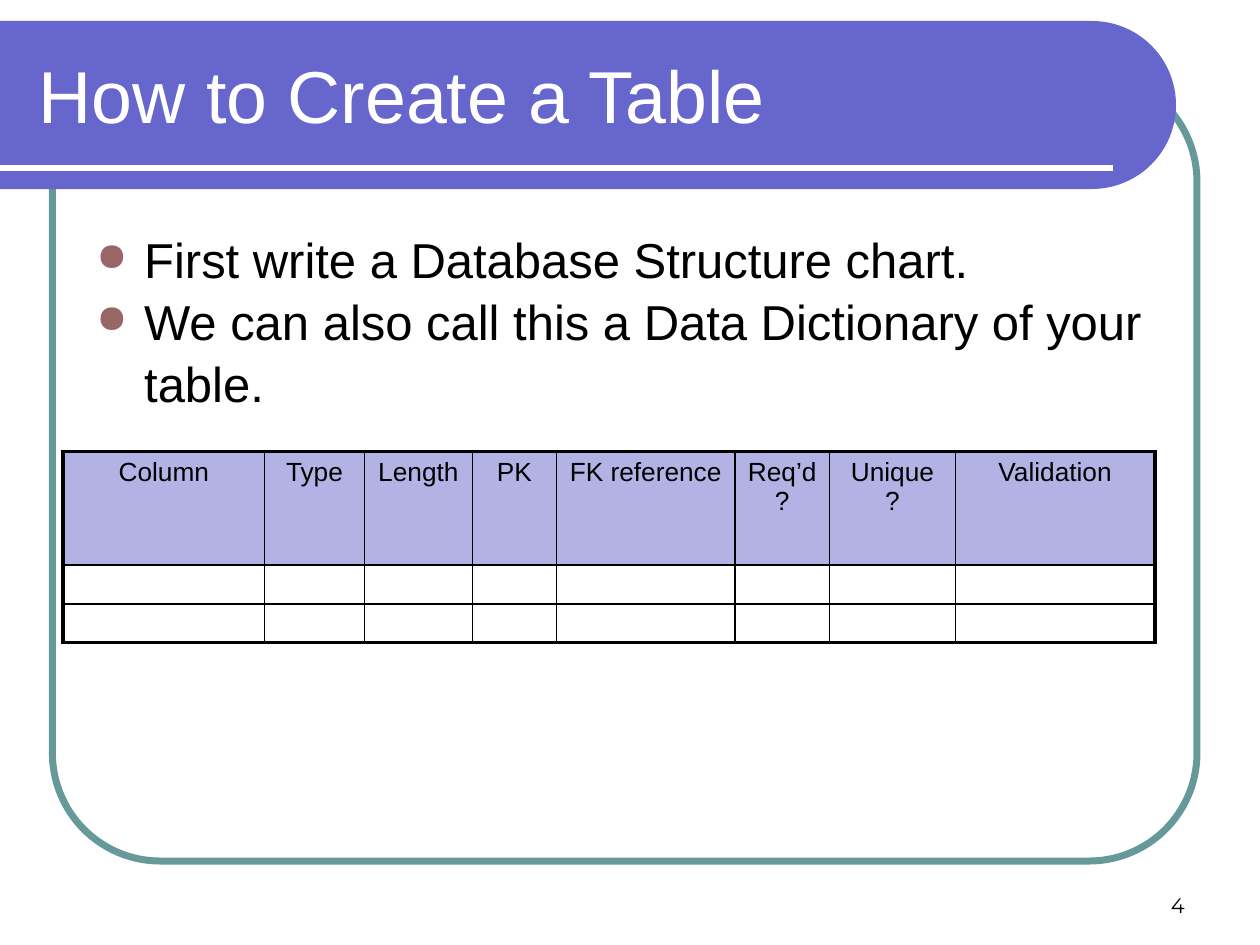
from lxml.etree import SubElement
from pptx import Presentation
from pptx.dml.color import RGBColor
from pptx.enum.shapes import MSO_CONNECTOR as CONNECTOR, MSO_SHAPE as SHAPE
from pptx.enum.text import MSO_ANCHOR as ANCHOR, PP_ALIGN as ALIGN
from pptx.oxml.ns import qn
from pptx.util import Inches, Pt

PURPLE = RGBColor(0x66, 0x66, 0xCC)
TEAL = RGBColor(0x66, 0x99, 0x99)
BULLET = RGBColor(0x99, 0x66, 0x66)
WHITE = RGBColor(0xFF, 0xFF, 0xFF)
BLACK = RGBColor(0, 0, 0)

presentation = Presentation()
presentation.slide_width, presentation.slide_height = Inches(10), Inches(7.5)
slide = presentation.slides.add_slide(presentation.slide_layouts[6])
UNIT = presentation.slide_width // 120  # square grid: 120 columns, 90 rows


def grid(*cells):
    return [round(cell * UNIT) for cell in cells]


def add_text(box, lines, size, color, anchor=ANCHOR.TOP, font="Arial", align=ALIGN.LEFT):
    frame = slide.shapes.add_textbox(*grid(*box)).text_frame
    frame.word_wrap = True
    frame.vertical_anchor = anchor
    frame.text = "\n".join(lines)
    for paragraph in frame.paragraphs:
        paragraph.alignment = align
        paragraph.font.name = font
        paragraph.font.size = Pt(size)
        paragraph.font.color.rgb = color
    return frame


# Rounded frame
frame_shape = slide.shapes.add_shape(SHAPE.ROUNDED_RECTANGLE, *grid(5, 7, 109, 75))
frame_shape.adjustments[0] = 0.137
frame_shape.shadow.inherit = False
frame_shape.fill.background()
frame_shape.line.color.rgb = TEAL
frame_shape.line.width = Pt(4)

# Title banner: an upright tab turned so its round end points right
banner_width, banner_height = 112, 16
offset = (banner_width - banner_height) / 2
banner = slide.shapes.add_shape(
    SHAPE.ROUND_2_SAME_RECTANGLE, *grid(offset, 2 - offset, banner_height, banner_width))
banner.rotation = 90
banner.adjustments[0] = 0.5
banner.shadow.inherit = False
banner.fill.solid()
banner.fill.fore_color.rgb = PURPLE
banner.line.fill.background()

rule = slide.shapes.add_connector(CONNECTOR.STRAIGHT, *grid(0, 16, 106, 16))
rule.line.color.rgb = WHITE
rule.line.width = Pt(3)
SubElement(rule._element.spPr, qn("a:effectLst"))

# Slide number, title and bullets
add_text((86, 82, 28, 6), ["4"], 12, BLACK, ANCHOR.BOTTOM, "Montserrat", ALIGN.RIGHT)
add_text((2.5, 3, 105.2, 12), ["How to Create a Table"], 42, WHITE, ANCHOR.MIDDLE)
body = add_text((8, 21, 102, 58), [
    "First write a Database Structure chart.",
    "We can also call this a Data Dictionary of your table.",
], 28, BLACK)
for paragraph in body.paragraphs:
    paragraph.line_spacing = 1.05
    properties = paragraph._p.get_or_add_pPr()
    indent = Inches(0.38)
    properties.set("marL", str(indent))
    properties.set("indent", str(-indent))
    bullet_parts = [SubElement(properties, qn(tag)) for tag in ("a:buClr", "a:buSzPct", "a:buChar")]
    SubElement(bullet_parts[0], qn("a:srgbClr"), val=str(BULLET))
    bullet_parts[1].set("val", "80000")
    bullet_parts[2].set("char", "●")
    default_font = properties.find(qn("a:defRPr"))
    properties.append(default_font)  # the schema wants it after the bullet

# Data dictionary table
headers = ["Column", "Type", "Length", "PK", "FK reference", "Req’d ?", "Unique ?", "Validation"]
column_widths = grid(19.2, 9.5, 10.3, 8, 17, 9, 12, 19)
row_heights = grid(10.8, 3.7, 3.7)
last_row, last_column = len(row_heights) - 1, len(headers) - 1
table = slide.shapes.add_table(
    len(row_heights), len(headers), *grid(6, 43, 104, 18.2)).table
table.first_row = table.horz_banding = False
for column, width in zip(table.columns, column_widths):
    column.width = width
for row, height in zip(table.rows, row_heights):
    row.height = height

for row_index, row in enumerate(table.rows):
    for column_index, cell in enumerate(row.cells):
        # Thick outer edges, thin inner ones
        outer_edges = {"a:lnL": column_index == 0, "a:lnR": column_index == last_column,
                       "a:lnT": row_index == 0, "a:lnB": row_index == last_row}
        cell_properties = cell._tc.get_or_add_tcPr()
        for tag, outer in outer_edges.items():
            edge = SubElement(cell_properties, qn(tag), w=str(Pt(2.25 if outer else 1)))
            SubElement(SubElement(edge, qn("a:solidFill")), qn("a:srgbClr"), val=str(BLACK))

        paragraph = cell.text_frame.paragraphs[0]
        if row_index == 0:
            cell.fill.solid()
            cell.fill.fore_color.rgb = PURPLE
            color = cell_properties.find(qn("a:solidFill")).find(qn("a:srgbClr"))
            SubElement(color, qn("a:alpha"), val="50000")
            paragraph.text = headers[column_index]
            paragraph.alignment = ALIGN.CENTER
            paragraph.font.name = "Arial"
            paragraph.font.size = Pt(15)
            paragraph.font.color.rgb = BLACK
        else:
            cell.fill.background()
            SubElement(paragraph._p, qn("a:endParaRPr"), sz="1200")

presentation.save("out.pptx")
